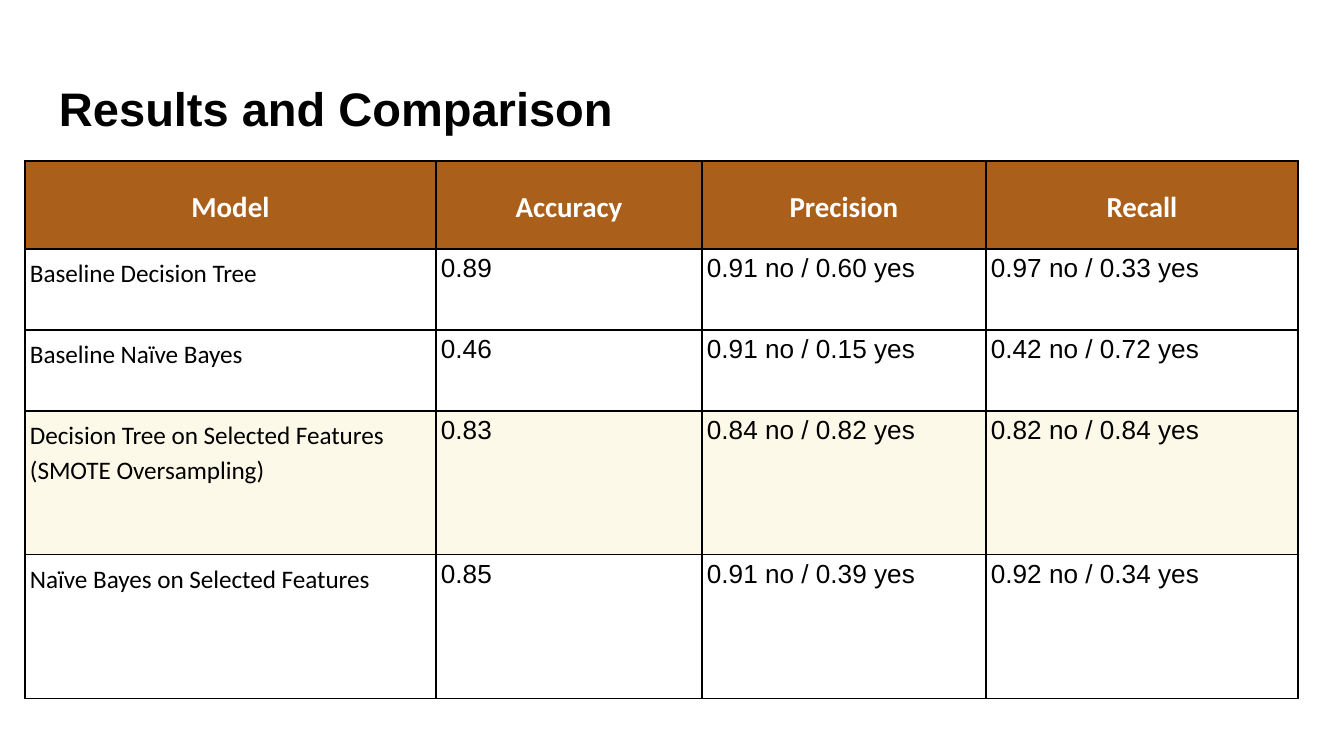
from dataclasses import dataclass

from lxml import etree
from pptx import Presentation
from pptx.dml.color import RGBColor
from pptx.enum import text
from pptx.oxml import ns
from pptx.util import Pt

SCALE = 914400 / 134.4


@dataclass(frozen=True)
class Theme:
    ink: str = "000000"
    paper: str = "FFFFFF"
    head: str = "AA601A"
    best: str = "FDF9E9"
    sans: str = "Arial"
    label: str = "Calibri"
    title: float = 25.2
    header: float = 15.5
    name: float = 13.5
    value: float = 14
    rule: float = 0.75


THEME = Theme()
COLS = (411, 266, 284, 312)
ROWS = (88, 81, 81, 144, 144)
RESULTS = (
    ("Model", "Accuracy", "Precision", "Recall"),
    ("Baseline Decision Tree", "0.89", "0.91 no / 0.60 yes", "0.97 no / 0.33 yes"),
    ("Baseline Naïve Bayes", "0.46", "0.91 no / 0.15 yes", "0.42 no / 0.72 yes"),
    ("Decision Tree on Selected Features\n(SMOTE Oversampling)",
     "0.83", "0.84 no / 0.82 yes", "0.82 no / 0.84 yes"),
    ("Naïve Bayes on Selected Features",
     "0.85", "0.91 no / 0.39 yes", "0.92 no / 0.34 yes"),
)
BEST = 3


def px(n):
    return round(n * SCALE)


def write(frame, words, size, font=THEME.sans, color=THEME.ink, bold=False,
          align=text.PP_ALIGN.LEFT, space=1.0):
    frame.word_wrap = True
    frame.text = words
    for para in frame.paragraphs:
        para.alignment = align
        para.line_spacing = space
        for run in para.runs:
            run.font.name = font
            run.font.size = Pt(size)
            run.font.bold = bold
            run.font.color.rgb = RGBColor.from_string(color)


def add_title(slide, words):
    box = slide.shapes.add_textbox(px(46), px(66), px(1252), px(84))
    frame = box.text_frame
    frame.margin_left = frame.margin_right = px(13)
    frame.margin_top = frame.margin_bottom = px(13)
    frame.vertical_anchor = text.MSO_ANCHOR.MIDDLE
    write(frame, words, THEME.title, bold=True)


def add_rules(cell):
    props = cell._tc.get_or_add_tcPr()
    for spot, side in enumerate(("lnL", "lnR", "lnT", "lnB")):
        line = etree.Element(ns.qn(f"a:{side}"), w=str(Pt(THEME.rule)))
        fill = etree.SubElement(line, ns.qn("a:solidFill"))
        etree.SubElement(fill, ns.qn("a:srgbClr"), val=THEME.ink)
        props.insert(spot, line)


def style_cell(cell, words, row, col):
    cell.margin_left = cell.margin_right = px(5)
    cell.margin_top = cell.margin_bottom = px(5)
    fill = {0: THEME.head, BEST: THEME.best}.get(row)
    if fill:
        cell.fill.solid()
        cell.fill.fore_color.rgb = RGBColor.from_string(fill)
    else:
        cell.fill.background()
    add_rules(cell)
    if row == 0:
        cell.vertical_anchor = text.MSO_ANCHOR.MIDDLE
        write(cell.text_frame, words, THEME.header, font=THEME.label,
              color=THEME.paper, bold=True, align=text.PP_ALIGN.CENTER, space=1.15)
    elif col == 0:
        write(cell.text_frame, words, THEME.name, font=THEME.label, space=1.15)
    else:
        write(cell.text_frame, words, THEME.value)


def add_results(slide):
    frame = slide.shapes.add_table(len(ROWS), len(COLS), px(25), px(161),
                                   px(sum(COLS)), px(sum(ROWS)))
    table = frame.table
    table.horz_banding = False
    for col, width in zip(table.columns, COLS):
        col.width = px(width)
    for row, height in zip(table.rows, ROWS):
        row.height = px(height)
    for r, line in enumerate(RESULTS):
        for c, words in enumerate(line):
            style_cell(table.cell(r, c), words, r, c)


def main():
    deck = Presentation()
    deck.slide_width, deck.slide_height = px(1344), px(756)
    slide = deck.slides.add_slide(deck.slide_layouts[6])
    add_title(slide, "Results and Comparison")
    add_results(slide)
    deck.save("out.pptx")


if __name__ == "__main__":
    main()
